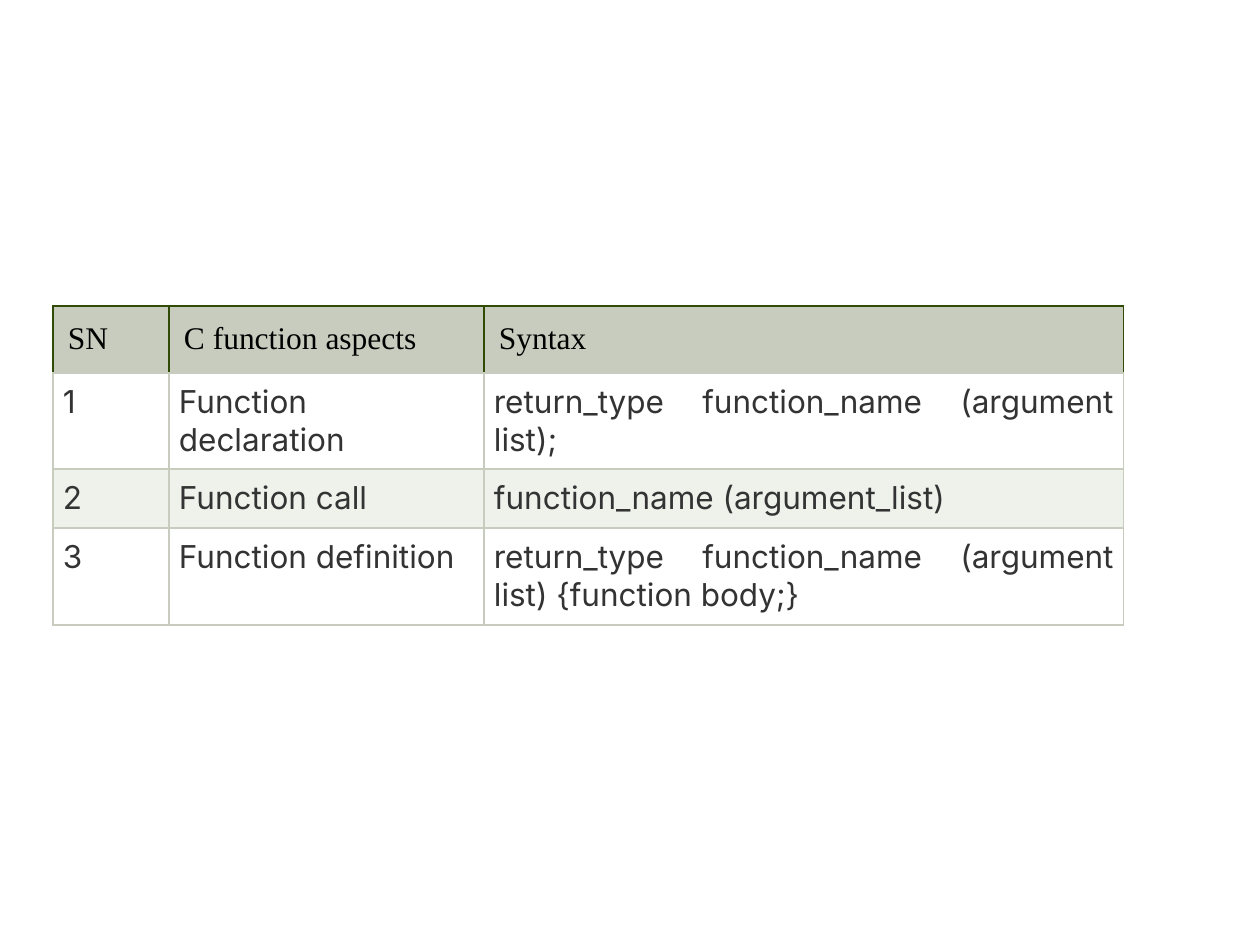
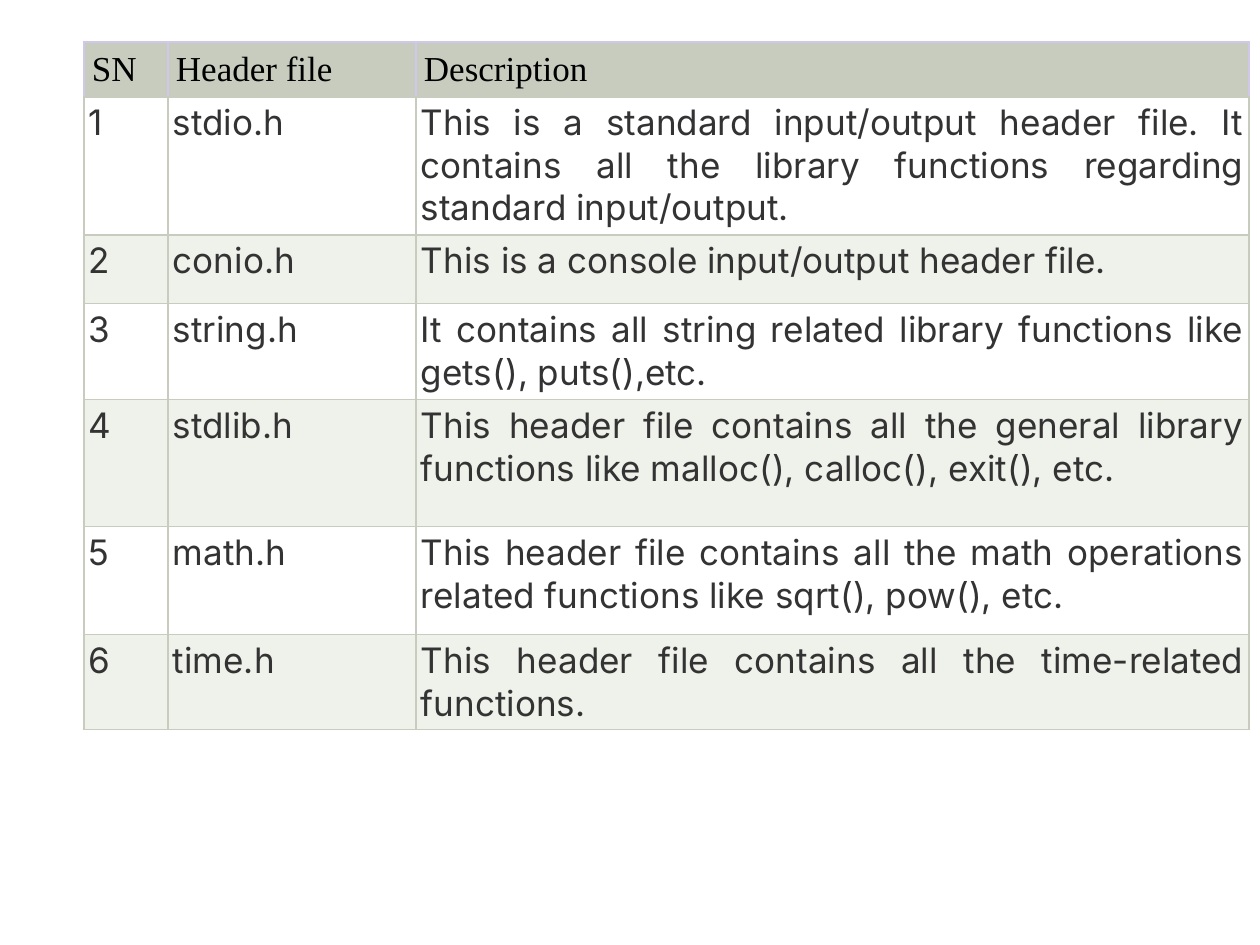
from dataclasses import dataclass

from lxml import etree
from pptx import Presentation
from pptx.dml.color import RGBColor
from pptx.enum.text import PP_ALIGN
from pptx.oxml.ns import qn
from pptx.util import Pt

LEFT, JUSTIFY = PP_ALIGN.LEFT, PP_ALIGN.JUSTIFY
PX = 914400 / 126  # EMU in one px
SLIDE_W, SLIDE_H = 1260, 945
BLANK = 6


@dataclass(frozen=True)
class Theme:
    head_font: str = "Times New Roman"
    body_font: str = "Inter"
    head_text: str = "000000"
    body_text: str = "333333"
    head_fill: str = "C7CCBE"
    row_fills: tuple = ("FFFFFF", "EFF1EB")
    grid: str = "C7CCBE"
    green_edge: str = "304B05"
    lilac_edge: str = "D0C8E9"
    syntax_size: int = 18
    library_size: int = 20
    line: float = 0.75


THEME = Theme()

# Content: one table per slide, lengths in px
TABLES = [
    dict(
        left=53, top=306, cols=(116, 315, 640), heights=(67, 96, 59, 97),
        head_pad=15, body_pad=10, size=THEME.syntax_size, head_edge=THEME.green_edge,
        rows=[
            ("SN", "C function aspects", "Syntax"),
            ("1", "Function declaration", "return_type function_name (argument list);"),
            ("2", "Function call", "function_name (argument_list)"),
            ("3", "Function definition",
             "return_type function_name (argument list) {function body;}"),
        ],
    ),
    dict(
        left=84, top=42, cols=(84, 248, 833), heights=(55, 138, 69, 96, 127, 108, 95),
        head_pad=8, body_pad=5, size=THEME.library_size, head_edge=THEME.lilac_edge,
        rows=[
            ("SN", "Header file", "Description"),
            ("1", "stdio.h",
             "This is a standard input/output header file. It contains all the "
             "library functions regarding standard input/output."),
            ("2", "conio.h", "This is a console input/output header file."),
            ("3", "string.h",
             "It contains all string related library functions like gets(), puts(),etc."),
            ("4", "stdlib.h",
             "This header file contains all the general library functions like "
             "malloc(), calloc(), exit(), etc."),
            ("5", "math.h",
             "This header file contains all the math operations related functions "
             "like sqrt(), pow(), etc."),
            ("6", "time.h", "This header file contains all the time-related functions."),
        ],
    ),
]


def emu(px):
    return round(px * PX)


def write(tf, text, *, font, size, color, align):
    p = tf.paragraphs[0]
    p.alignment = align
    r = p.add_run()
    r.text = text
    r.font.name, r.font.size, r.font.bold = font, Pt(size), False
    r.font.color.rgb = RGBColor.from_string(color)


def set_borders(cell, edge, bottom):
    tc_pr = cell._tc.get_or_add_tcPr()
    for side, color in zip("LRTB", (edge, edge, edge, bottom)):
        ln = etree.SubElement(tc_pr, qn(f"a:ln{side}"), w=str(Pt(THEME.line)))
        fill = etree.SubElement(ln, qn("a:solidFill"))
        etree.SubElement(fill, qn("a:srgbClr"), val=color)


def style_cell(cell, edge, fill, pad):
    set_borders(cell, edge, THEME.grid)  # borders must precede the fill
    cell.fill.solid()
    cell.fill.fore_color.rgb = RGBColor.from_string(fill)
    cell.margin_left = cell.margin_right = emu(pad)
    cell.margin_top = cell.margin_bottom = emu(pad)


def add_grid(s, spec):
    rows, cols, heights = spec["rows"], spec["cols"], spec["heights"]
    box = (spec["left"], spec["top"], sum(cols), sum(heights))
    table = s.shapes.add_table(len(rows), len(cols), *map(emu, box)).table
    table.first_row = table.horz_banding = False
    for column, width in zip(table.columns, cols):
        column.width = emu(width)

    for i, (row, height) in enumerate(zip(rows, heights)):
        table.rows[i].height = emu(height)
        # Header row first, then white and tinted rows in turn
        if i == 0:
            look = (spec["head_edge"], THEME.head_fill, spec["head_pad"])
            type_style = dict(font=THEME.head_font, color=THEME.head_text, align=LEFT)
        else:
            look = (THEME.grid, THEME.row_fills[(i - 1) % 2], spec["body_pad"])
            type_style = dict(font=THEME.body_font, color=THEME.body_text, align=JUSTIFY)
        for j, text in enumerate(row):
            cell = table.cell(i, j)
            style_cell(cell, *look)
            write(cell.text_frame, text, size=spec["size"], **type_style)


def main():
    prs = Presentation()
    prs.slide_width, prs.slide_height = emu(SLIDE_W), emu(SLIDE_H)
    for spec in TABLES:
        add_grid(prs.slides.add_slide(prs.slide_layouts[BLANK]), spec)
    prs.save("out.pptx")


if __name__ == "__main__":
    main()
